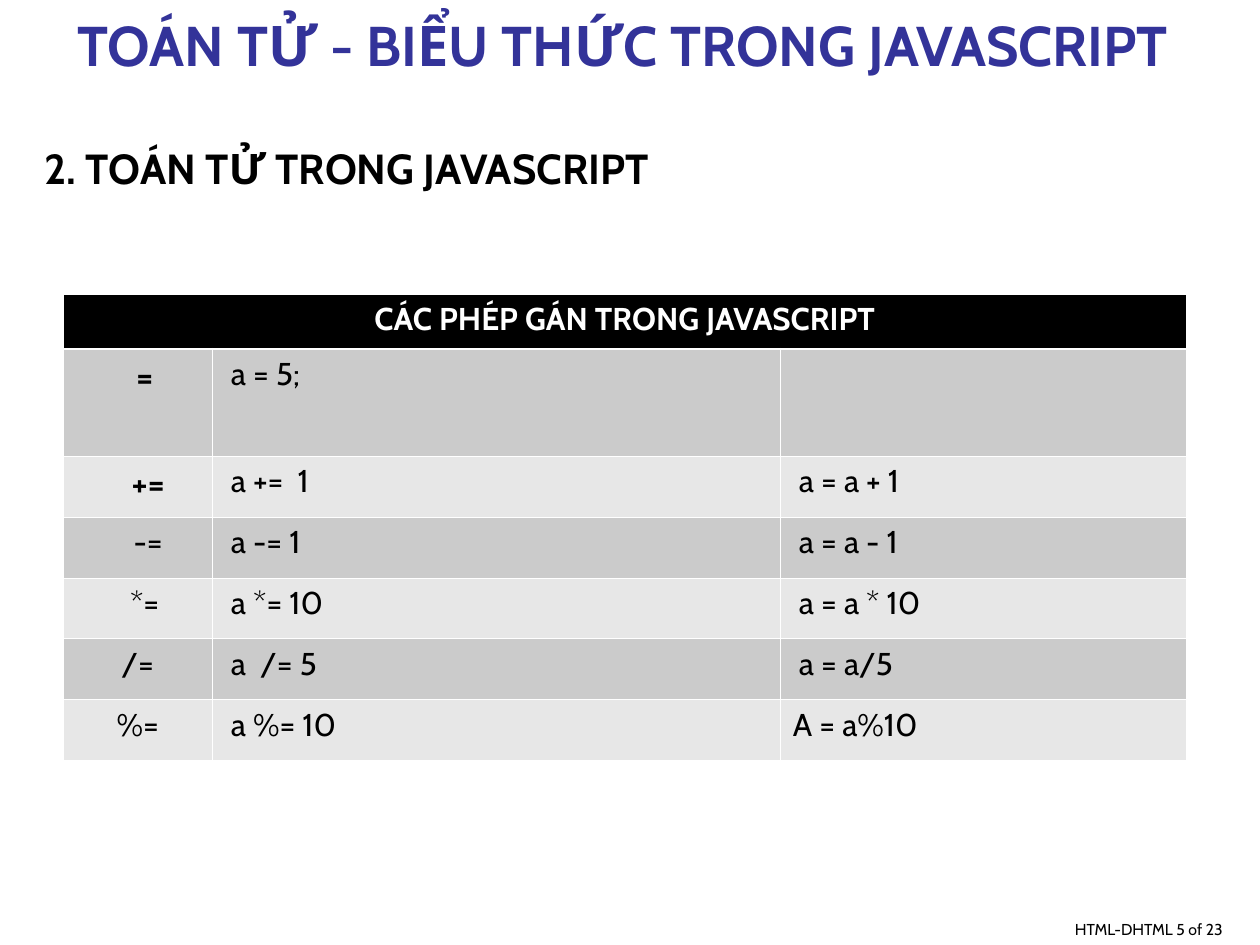
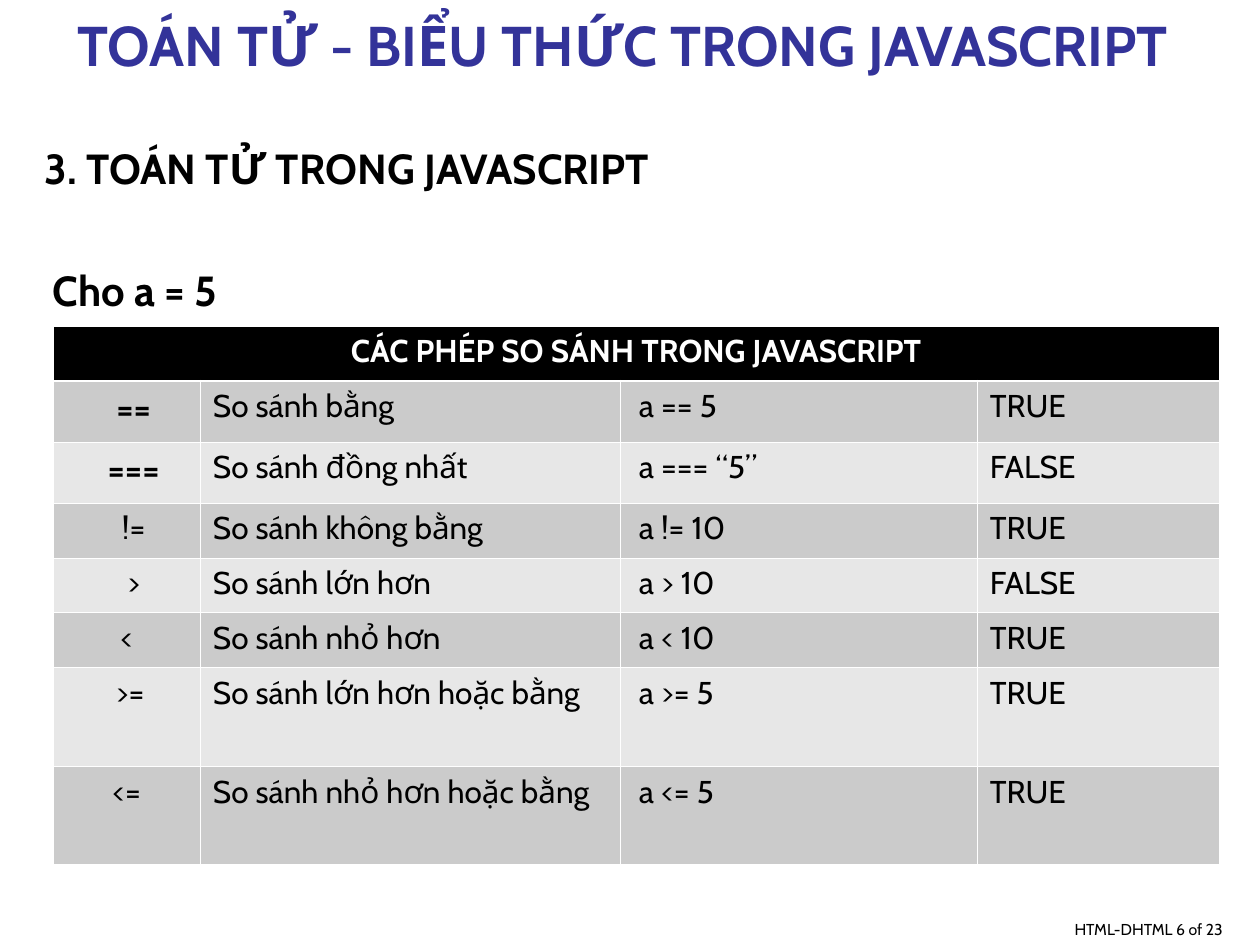
from lxml import etree
from pptx import Presentation
from pptx.dml.color import RGBColor
from pptx.enum.text import MSO_ANCHOR, MSO_AUTO_SIZE, PP_ALIGN
from pptx.oxml.ns import qn
from pptx.util import Emu, Pt

LEFT, CENTER, RIGHT = PP_ALIGN.LEFT, PP_ALIGN.CENTER, PP_ALIGN.RIGHT
TOP, BOTTOM = MSO_ANCHOR.TOP, MSO_ANCHOR.BOTTOM
NO_AUTOFIT = MSO_AUTO_SIZE.NONE

FONT = "Cabin"
COLORS = {
    "title": "333399",
    "text": "000000",
    "header": "000000",
    "line": "FFFFFF",
    "header_text": "FFFFFF",
    "dark_band": "CBCBCB",
    "light_band": "E7E7E7",
}
PX_PER_INCH = 126
PAGE_COUNT = 23
PAGE_TITLE = "TOÁN TỬ - BIỂU THỨC TRONG JAVASCRIPT"

TITLE_BOX = (0, 0, 1260, 84)
BODY_BOX = (32, 136, 1228, 798)
FOOTER_BOX = (510, 882, 725, 63)

MARGIN = 13
SYMBOL_STEP = 7
EXPRESSION_INDENT = 6
THIN_LINE, THICK_LINE = 0.45, 1.47

ASSIGNMENTS = {
    "header": "CÁC PHÉP GÁN TRONG JAVASCRIPT",
    "origin": (63, 294),
    "columns": [149, 568, 406],
    "heights": [55, 107] + [61] * 5,
    "expression_columns": (1, 2),
    "symbol_steps": [2, 3, 3, 2, 0, 0],
    "rows": [
        ("=", "a = 5;", ""),
        ("+=", "a +=  1", "a = a + 1"),
        ("-=", "a -= 1", "a = a - 1"),
        ("*=", "a *= 10", "a = a * 10"),
        ("/=", "a  /= 5", "a = a/5"),
        ("%=", "a %= 10", "A = a%10"),
    ],
}
COMPARISONS = {
    "header": "CÁC PHÉP SO SÁNH TRONG JAVASCRIPT",
    "origin": (53, 326),
    "columns": [147, 420, 357, 242],
    "heights": [55, 61, 61, 55, 55, 55, 99, 98],
    "expression_columns": (2,),
    "symbol_steps": [2, 2, 2, 2, 0, 1, 0],
    "rows": [
        ("==", "So sánh bằng", "a == 5", "TRUE"),
        ("===", "So sánh đồng nhất", "a === “5”", "FALSE"),
        ("!=", "So sánh không bằng", "a != 10", "TRUE"),
        (">", "So sánh lớn hơn", "a > 10", "FALSE"),
        ("<", "So sánh nhỏ hơn", "a < 10", "TRUE"),
        (">=", "So sánh lớn hơn hoặc bằng", "a >= 5", "TRUE"),
        ("<=", "So sánh nhỏ hơn hoặc bằng", "a <= 5", "TRUE"),
    ],
}


def px(length):
    """Turn pixels into EMU."""
    return Emu(round(length * 914400 / PX_PER_INCH))


def place(shape, box):
    """Move and size a shape to a pixel box."""
    shape.left, shape.top, shape.width, shape.height = map(px, box)


def format_paragraph(paragraph, size, color, bold=False, align=LEFT, before=0):
    """Format a paragraph and its runs."""
    paragraph.alignment = align
    paragraph.space_before = Pt(before)
    for run in paragraph.runs:
        run.font.name = FONT
        run.font.size = Pt(size)
        run.font.bold = bold
        run.font.color.rgb = RGBColor.from_string(COLORS[color])


def set_frame(text_frame, anchor):
    """Make a text frame wrap at a fixed size."""
    text_frame.word_wrap = True
    text_frame.auto_size = NO_AUTOFIT
    text_frame.vertical_anchor = anchor


def add_title(slide, box):
    """Fill the title placeholder."""
    title = slide.shapes.title
    place(title, box)
    set_frame(title.text_frame, BOTTOM)
    title.text_frame.margin_right = px(MARGIN * 2)
    title.text_frame.text = PAGE_TITLE
    format_paragraph(title.text_frame.paragraphs[0], 32, "title", True, CENTER)


def add_body(slide, box, lines):
    """Fill the body placeholder with (text, indent, space before) lines."""
    body = slide.placeholders[1]
    place(body, box)
    set_frame(body.text_frame, TOP)
    body.text_frame.text = "\n".join(text for text, _, _ in lines)
    for paragraph, (_, indent, before) in zip(body.text_frame.paragraphs, lines):
        format_paragraph(paragraph, 24, "text", True, before=before)
        properties = paragraph._p.get_or_add_pPr()
        properties.set("marL", str(px(indent)))
        properties.set("indent", "0")
        etree.SubElement(properties, qn("a:buNone"))


def add_footer(slide, box, page):
    """Add the page count at the lower right."""
    footer = slide.shapes.add_textbox(*map(px, box))
    set_frame(footer.text_frame, BOTTOM)
    footer.text_frame.text = f"HTML-DHTML {page} of {PAGE_COUNT}"
    format_paragraph(footer.text_frame.paragraphs[0], 9, "text", align=RIGHT)


def set_borders(cell, top, bottom):
    """Draw the four borders of a cell, with given top and bottom widths."""
    properties = cell._tc.get_or_add_tcPr()
    widths = {"lnL": THIN_LINE, "lnR": THIN_LINE, "lnT": top, "lnB": bottom}
    for tag, width in widths.items():
        line = etree.SubElement(properties, qn(f"a:{tag}"), w=str(Pt(width)))
        fill = etree.SubElement(line, qn("a:solidFill"))
        etree.SubElement(fill, qn("a:srgbClr"), val=COLORS["line"])


def fill_cell(cell, text, fill, indent=0, **text_style):
    """Write and colour one cell."""
    cell.fill.solid()
    cell.fill.fore_color.rgb = RGBColor.from_string(COLORS[fill])
    cell.margin_left = px(MARGIN + indent)
    cell.text_frame.text = text
    format_paragraph(cell.text_frame.paragraphs[0], **text_style)


def add_operator_table(slide, content):
    """Add a banded table of operators under one merged header."""
    columns, heights = content["columns"], content["heights"]
    box = (*content["origin"], sum(columns), sum(heights))
    table = slide.shapes.add_table(len(heights), len(columns), *map(px, box)).table
    table.horz_banding = False
    for column, width in zip(table.columns, columns):
        column.width = px(width)
    for row, height in zip(table.rows, heights):
        row.height = px(height)
    for row_index, row in enumerate(table.rows):
        for cell in row.cells:
            set_borders(
                cell,
                THICK_LINE if row_index == 1 else THIN_LINE,
                THICK_LINE if row_index == 0 else THIN_LINE,
            )

    header = table.cell(0, 0)
    header.merge(table.cell(0, len(columns) - 1))
    fill_cell(header, content["header"], "header",
              size=18, color="header_text", bold=True, align=CENTER)

    for row_index, values in enumerate(content["rows"], 1):
        band = "dark_band" if row_index % 2 else "light_band"
        strong = row_index <= 2
        steps = content["symbol_steps"][row_index - 1]
        fill_cell(table.cell(row_index, 0), values[0], band, steps * SYMBOL_STEP,
                  size=20 if strong else 18, color="text", bold=strong, align=CENTER)
        for column_index, value in enumerate(values[1:], 1):
            is_indented = (column_index in content["expression_columns"]
                           and value.startswith("a"))
            fill_cell(table.cell(row_index, column_index), value, band,
                      EXPRESSION_INDENT if is_indented else 0,
                      size=18, color="text")


def add_operator_slide(presentation, page, lines, content):
    """Add one slide with a title, headings, an operator table and a footer."""
    slide = presentation.slides.add_slide(presentation.slide_layouts[1])
    add_footer(slide, FOOTER_BOX, page)
    add_body(slide, BODY_BOX, lines)
    add_title(slide, TITLE_BOX)
    add_operator_table(slide, content)


def main():
    """Build and save the presentation."""
    presentation = Presentation()
    presentation.slide_width, presentation.slide_height = px(1260), px(945)
    add_operator_slide(presentation, 5,
                       [("2. TOÁN TỬ TRONG JAVASCRIPT", 0, 6)], ASSIGNMENTS)
    add_operator_slide(presentation, 6,
                       [("3. TOÁN TỬ TRONG JAVASCRIPT", 0, 6),
                        ("Cho a = 5", 8, 41)], COMPARISONS)
    presentation.save("out.pptx")


if __name__ == "__main__":
    main()
